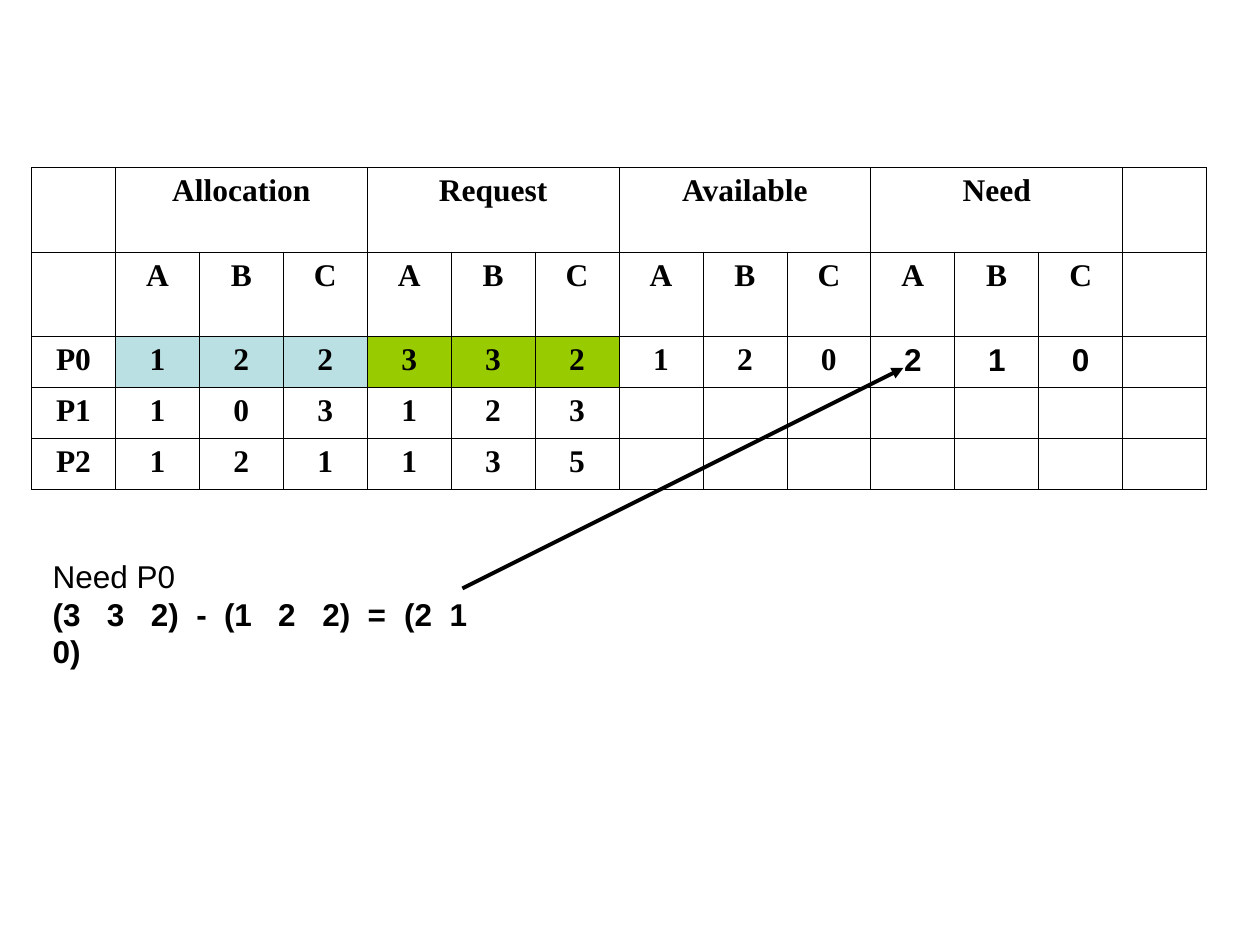
from lxml import etree
from pptx import Presentation
from pptx import util as u
from pptx.dml.color import RGBColor
from pptx.enum import shapes, text
from pptx.oxml import ns

HUES = {"ink": "000000", "held": "BBE0E3", "asked": "99CC00"}


def style(run, form):
    for key, val in form.items():
        setattr(run.font, key, val)
    run.font.color.rgb = RGBColor.from_string(HUES["ink"])


def add(node, tag, **attrs):
    return etree.SubElement(node, ns.qn(tag), attrs)


deck = Presentation()
deck.slide_width, deck.slide_height = u.Inches(10), u.Inches(7.5)
slide = deck.slides.add_slide(deck.slide_layouts[6])

serif = {"name": "Times New Roman", "size": u.Pt(18), "bold": True}
sans = {**serif, "name": "Arial"}
plain = {**sans, "bold": False}

heads = ["Allocation", "Request", "Available", "Need"]
top = [""]
for head in heads:
    top += [head, "", ""]
rows = [
    top,
    [""] + list("ABC") * len(heads),
    ["P0"] + list("122332120210"),
    ["P1"] + list("103123"),
    ["P2"] + list("121135"),
]
tall = [0.67, 0.67, 0.4, 0.4, 0.4]
cols = 14

frame = slide.shapes.add_table(
    len(rows), cols, u.Inches(0.25), u.Inches(1.33), u.Inches(9.33), u.Inches(sum(tall))
)
table = frame.table
table.first_row = table.horz_banding = False
for col in table.columns:
    col.width = u.Inches(9.33 / cols)
for row, size in zip(table.rows, tall):
    row.height = u.Inches(size)
for c in range(1, cols - 1, 3):
    table.cell(0, c).merge(table.cell(0, c + 2))

for r, row in enumerate(rows):
    for c in range(cols):
        cell = table.cell(r, c)
        props = cell._tc.get_or_add_tcPr()
        for side in ("L", "R", "T", "B"):
            edge = add(props, f"a:ln{side}", w=str(u.Pt(0.45)))
            add(add(edge, "a:solidFill"), "a:srgbClr", val=HUES["ink"])
        if r == 2 and 1 <= c <= 6:
            cell.fill.solid()
            hue = HUES["held" if c <= 3 else "asked"]
            cell.fill.fore_color.rgb = RGBColor.from_string(hue)
        else:
            cell.fill.background()
        if c < len(row) and row[c]:
            para = cell.text_frame.paragraphs[0]
            para.alignment = text.PP_ALIGN.CENTER
            run = para.add_run()
            run.text = row[c]
            style(run, sans if r == 2 and c >= 10 else serif)

note = slide.shapes.add_textbox(
    u.Inches(0.32), u.Inches(4.37), u.Inches(3.84), u.Inches(0.7)
).text_frame
note.word_wrap = False
title = note.paragraphs[0].add_run()
title.text = "Need P0"
style(title, plain)

terms = ["(3", "3", "2)", "-", "(1", "2", "2)", "=", "(2", "1", "0)"]
stops = [0.43, 0.78, 1.14, 1.36, 1.79, 2.14, 2.5, 2.79, 3.15, 3.43]
sum_line = note.add_paragraph()
tabs = add(sum_line._p.get_or_add_pPr(), "a:tabLst")
for stop in stops:
    add(tabs, "a:tab", pos=str(u.Inches(stop)), algn="l")
run = sum_line.add_run()
run.text = "\t".join(terms)
style(run, sans)

arrow = slide.shapes.add_connector(
    shapes.MSO_CONNECTOR.STRAIGHT,
    u.Inches(3.67), u.Inches(4.67), u.Inches(7.17), u.Inches(2.92),
)
arrow.line.width = u.Pt(2.25)
arrow.line.color.rgb = RGBColor.from_string(HUES["ink"])
add(arrow.line._get_or_add_ln(), "a:tailEnd", type="triangle")
add(arrow._element.spPr, "a:effectLst")

deck.save("out.pptx")
